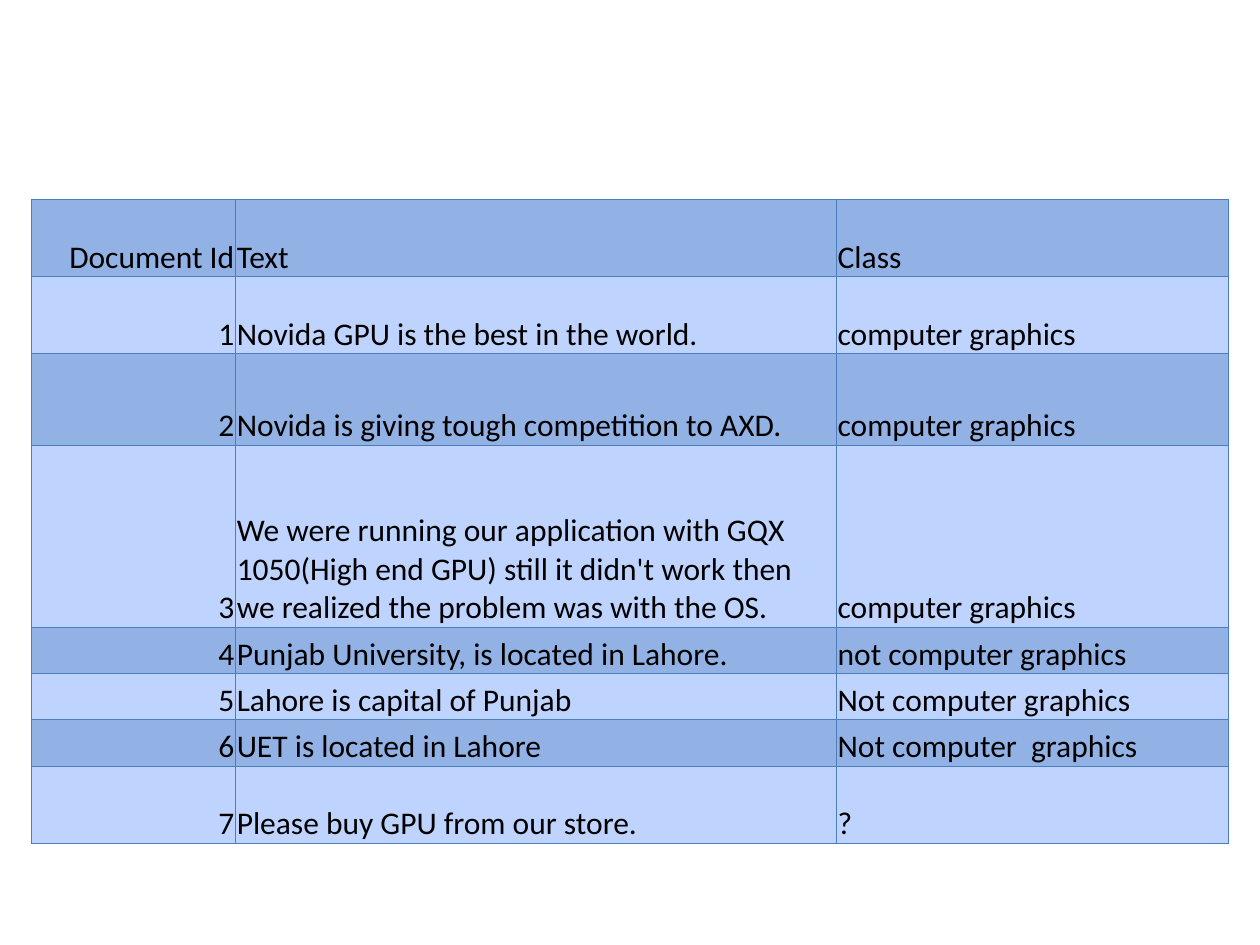
from lxml.etree import SubElement as Sub
from pptx import Presentation
from pptx.dml.color import RGBColor
from pptx.enum.text import MSO_ANCHOR as Anchor, PP_ALIGN as Align
from pptx.oxml.ns import qn
from pptx.util import Pt

DARK, LIGHT, EDGE, INK = "92B2E5", "BFD3FF", "4B7EBC", "000000"
COLS = [116.6, 343.4, 224]
ROWS = [44, 44, 52.4, 104, 26.5, 26.5, 26.5, 44]
DATA = [
    ("Document Id", "Text", "Class"),
    ("1", "Novida GPU is the best in the world.", "computer graphics"),
    ("2", "Novida is giving tough competition to AXD.", "computer graphics"),
    ("3", "We were running our application with GQX 1050(High end GPU) "
          "still it didn't work then we realized the problem was with the OS.",
     "computer graphics"),
    ("4", "Punjab University, is located in Lahore.", "not computer graphics"),
    ("5", "Lahore is capital of Punjab", "Not computer graphics"),
    ("6", "UET is located in Lahore", "Not computer  graphics"),
    ("7", "Please buy GPU from our store.", "?"),
]


def paint(item, color):
    if hasattr(item, "solid"):
        item.solid()
        item = item.fore_color
    item.rgb = RGBColor.from_string(color)


def frame(cell, color, width):
    props = cell._tc.get_or_add_tcPr()
    for pos, side in enumerate(("lnL", "lnR", "lnT", "lnB")):
        line = Sub(props, qn("a:" + side), w=str(int(Pt(width))))
        fill = Sub(line, qn("a:solidFill"))
        Sub(fill, qn("a:srgbClr"), val=color)
        props.insert(pos, line)


def write(cell, text, align):
    cell.margin_left = cell.margin_right = cell.margin_top = Pt(0.72)
    cell.margin_bottom = 0
    cell.vertical_anchor = Anchor.BOTTOM
    para = cell.text_frame.paragraphs[0]
    para.alignment = align
    run = para.add_run()
    run.text = text
    run.font.name, run.font.size = "Calibri", Pt(18)
    run.font.bold = False
    paint(run.font.color, INK)


def add_grid(slide, left, top, width, height):
    grid = slide.shapes.add_table(
        len(ROWS), len(COLS), Pt(left), Pt(top), Pt(width), Pt(height)).table
    grid.first_row = grid.horz_banding = False
    for col, size in zip(grid.columns, COLS):
        col.width = Pt(width * size / sum(COLS))
    for row, size in zip(grid.rows, ROWS):
        row.height = Pt(height * size / sum(ROWS))
    for r, texts in enumerate(DATA):
        for c, text in enumerate(texts):
            cell = grid.cell(r, c)
            write(cell, text, Align.LEFT if c else Align.RIGHT)
            paint(cell.fill, LIGHT if r % 2 else DARK)
            frame(cell, EDGE, 0.75)


def main():
    deck = Presentation()
    deck.slide_width, deck.slide_height = Pt(720), Pt(540)
    slide = deck.slides.add_slide(deck.slide_layouts[6])
    add_grid(slide, 18, 114, 684, 367.9)
    deck.save("out.pptx")


if __name__ == "__main__":
    main()
